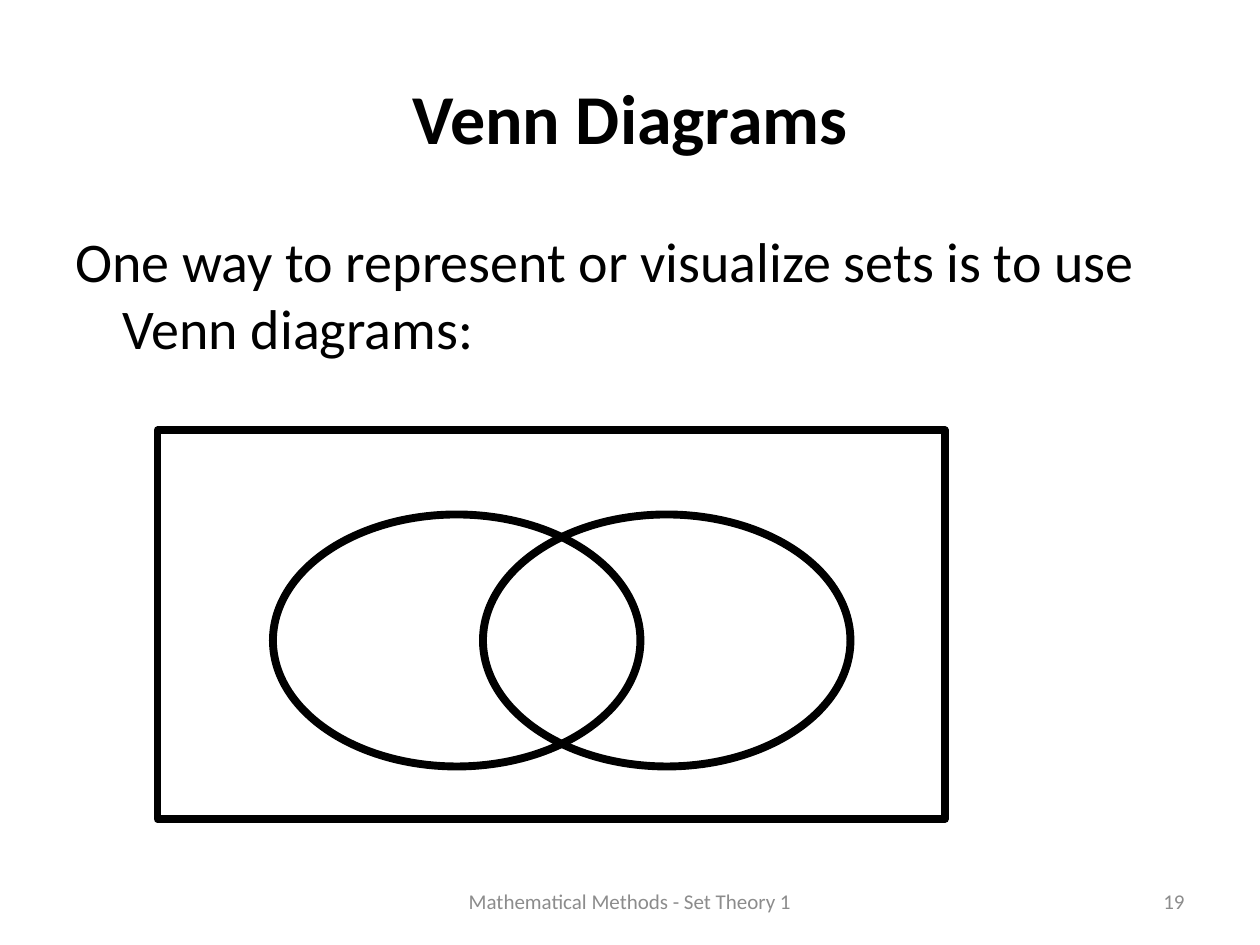
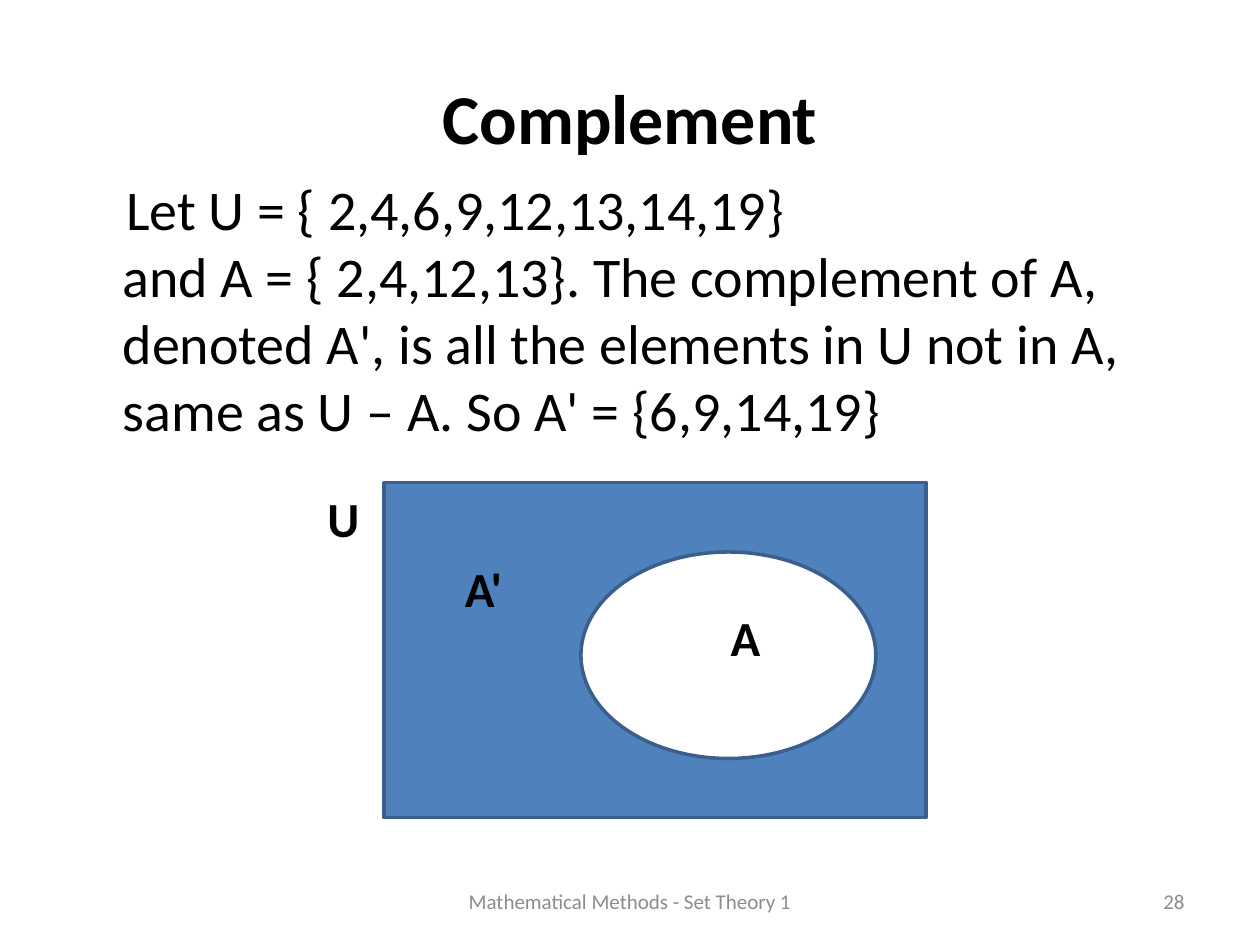
from pptx import Presentation
from pptx.dml.color import RGBColor
from pptx.enum.shapes import MSO_SHAPE
from pptx.enum.text import MSO_ANCHOR, PP_ALIGN
from pptx.util import Pt

BLACK = RGBColor(0x00, 0x00, 0x00)
WHITE = RGBColor(0xFF, 0xFF, 0xFF)
GRAY = RGBColor(0x8C, 0x8C, 0x8C)
BLUE = RGBColor(0x4F, 0x81, 0xBD)
DARK_BLUE = RGBColor(0x3A, 0x5F, 0x8C)

FONT = "Calibri"
SLIDE_WIDTH, SLIDE_HEIGHT = 720, 540
MARGIN = 36
CONTENT_WIDTH = SLIDE_WIDTH - 2 * MARGIN
BODY_BOTTOM = 482.4
BODY_INDENT = 27
FOOTER = "Mathematical Methods - Set Theory 1"
FOOTER_TOP, FOOTER_HEIGHT = 500.4, 28.8

# Boxes are left, top, width, height in points.
# Outlines are kind, box, fill; labels are text, left, top, width.
SLIDES = [
    {
        "number": 19,
        "title": "Venn Diagrams",
        "body": "One way to represent or visualize sets is to use Venn diagrams:",
        "body_top": 126,
        "first_line": -BODY_INDENT,
        "line": (BLACK, 4.5),
        "outlines": [
            (MSO_SHAPE.RECTANGLE, (90, 246, 450, 222), None),
            (MSO_SHAPE.OVAL, (156, 294, 210, 144), None),
            (MSO_SHAPE.OVAL, (276, 294, 210, 144), None),
        ],
        "labels": [],
    },
    {
        "number": 28,
        "title": "Complement",
        "body": "Let U = { 2,4,6,9,12,13,14,19}\v"
                "and A = { 2,4,12,13}. The complement of A, denoted A', "
                "is all the elements in U not in A, "
                "same as U – A. So A' = {6,9,14,19}",
        "body_top": 96,
        "first_line": 2,
        "line": (DARK_BLUE, 2),
        "outlines": [
            (MSO_SHAPE.RECTANGLE, (219.6, 275.8, 309.6, 191.5), BLUE),
            (MSO_SHAPE.OVAL, (332, 315.4, 168.5, 118), WHITE),
        ],
        "labels": [
            ("A", 410.4, 343.4, 45.4),
            ("A'", 258.5, 315.4, 39.6),
            ("U", 180, 275.8, 39.6),
        ],
    },
]


def add_text(slide, text, box, size, color=BLACK, bold=False,
             align=PP_ALIGN.LEFT, anchor=MSO_ANCHOR.TOP):
    text_frame = slide.shapes.add_textbox(*map(Pt, box)).text_frame
    text_frame.word_wrap = True
    text_frame.vertical_anchor = anchor
    paragraph = text_frame.paragraphs[0]
    paragraph.text = text
    paragraph.alignment = align
    paragraph.font.name = FONT
    paragraph.font.size = Pt(size)
    paragraph.font.bold = bold
    paragraph.font.color.rgb = color
    return paragraph


def add_body(slide, text, top, first_line):
    box = (MARGIN, top, CONTENT_WIDTH, BODY_BOTTOM - top)
    properties = add_text(slide, text, box, 32)._p.get_or_add_pPr()
    properties.set("marL", str(Pt(BODY_INDENT)))
    properties.set("indent", str(Pt(first_line)))


def add_outline(slide, kind, box, fill, line):
    shape = slide.shapes.add_shape(kind, *map(Pt, box))
    shape.shadow.inherit = False
    if fill is None:
        shape.fill.background()
    else:
        shape.fill.solid()
        shape.fill.fore_color.rgb = fill
    color, width = line
    shape.line.color.rgb = color
    shape.line.width = Pt(width)


def add_footer(slide, number):
    parts = [
        (FOOTER, 246, 228, PP_ALIGN.CENTER),
        (str(number), 516, 168, PP_ALIGN.RIGHT),
    ]
    for text, left, width, align in parts:
        add_text(slide, text, (left, FOOTER_TOP, width, FOOTER_HEIGHT), 12,
                 GRAY, align=align, anchor=MSO_ANCHOR.MIDDLE)


def build_slide(presentation, content):
    slide = presentation.slides.add_slide(presentation.slide_layouts[6])
    add_text(slide, content["title"], (MARGIN, 21.6, CONTENT_WIDTH, 90), 40,
             bold=True, align=PP_ALIGN.CENTER, anchor=MSO_ANCHOR.MIDDLE)
    add_body(slide, content["body"], content["body_top"], content["first_line"])
    for kind, box, fill in content["outlines"]:
        add_outline(slide, kind, box, fill, content["line"])
    for text, left, top, width in content["labels"]:
        add_text(slide, text, (left, top, width, 41), 28, bold=True)
    add_footer(slide, content["number"])


def main():
    presentation = Presentation()
    presentation.slide_width = Pt(SLIDE_WIDTH)
    presentation.slide_height = Pt(SLIDE_HEIGHT)
    for content in SLIDES:
        build_slide(presentation, content)
    presentation.save("out.pptx")


if __name__ == "__main__":
    main()
